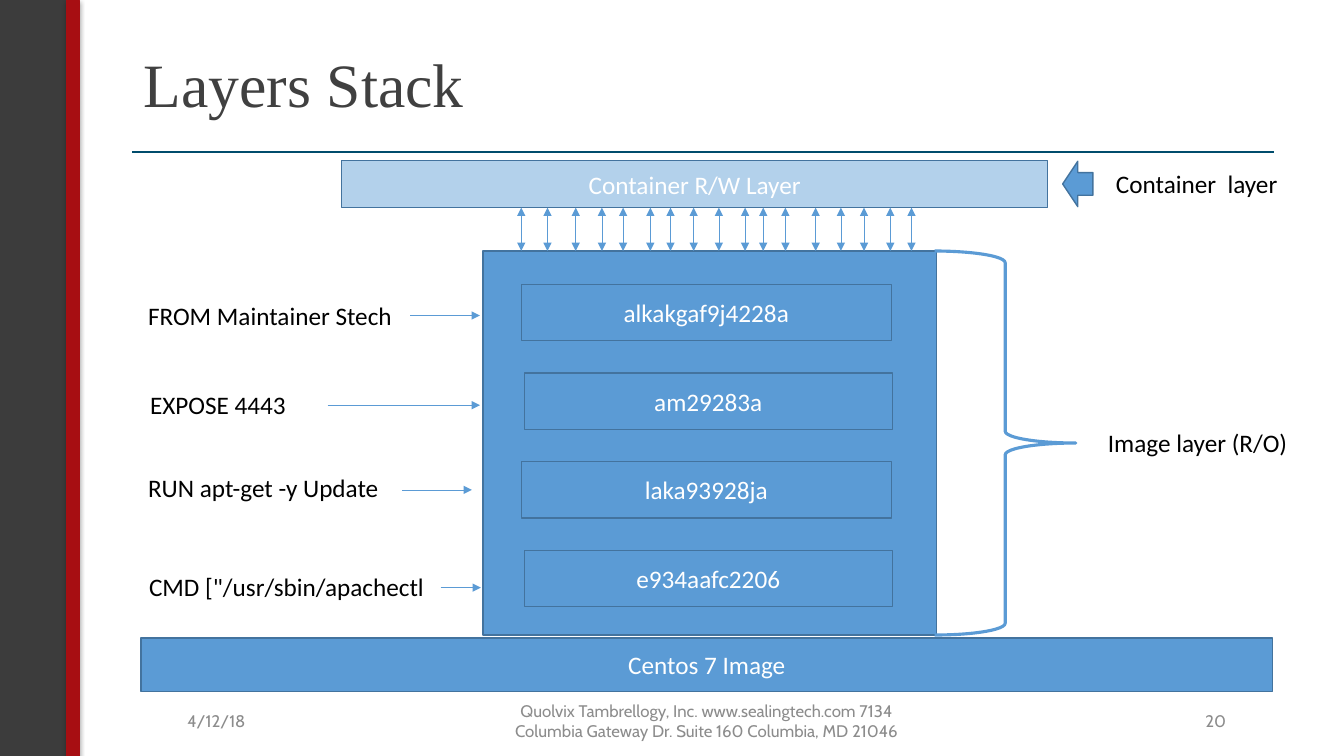
from lxml import etree
from pptx import Presentation
from pptx.dml.color import RGBColor
from pptx.enum import shapes, text
from pptx.oxml import ns
from pptx.util import Inches, Pt

# Content
TITLE = "Layers Stack"
RW_LAYER = "Container R/W Layer"
BASE_IMAGE = "Centos 7 Image"
LAYER_HASHES = ["alkakgaf9j4228a", "am29283a", "laka93928ja", "e934aafc2206"]
# command, label left, label top, arrow start, arrow end, arrow height
COMMANDS = [
    ("FROM Maintainer Stech", 1.37, 2.93, 4.07, 4.76, 3.13),
    ("EXPOSE 4443", 1.39, 3.81, 3.25, 4.76, 4.02),
    ("RUN apt-get -y Update", 1.37, 4.64, 3.99, 4.68, 4.86),
    ('CMD ["/usr/sbin/apachectl', 1.38, 5.62, 4.37, 4.77, 5.83),
]
SIDE_LABELS = [("Image layer (R/O)", 10.89, 4.19), ("Container  layer", 10.97, 1.62)]
LINK_XS = [5.17, 5.43, 5.71, 5.97, 6.18, 6.45, 6.65, 6.88, 7.13,
           7.39, 7.57, 7.79, 8.09, 8.34, 8.57, 8.83, 9.04]
ALIGN = text.PP_ALIGN
# text, left, width, alignment
FOOTERS = [
    ("4/12/18", 1.76, 2, ALIGN.LEFT),
    ("Quolvix Tambrellogy, Inc. www.sealingtech.com 7134 "
     "Columbia Gateway Dr. Suite 160 Columbia, MD 21046", 4.76, 4.5, ALIGN.CENTER),
    ("20", 10.26, 2, ALIGN.RIGHT),
]

# Colours
BLUE = RGBColor(0x5B, 0x9B, 0xD5)
EDGE = RGBColor(0x43, 0x73, 0x9E)
RULE = RGBColor(0x00, 0x4C, 0x6C)
CHARCOAL = RGBColor(0x3C, 0x3C, 0x3C)
RED = RGBColor(0xA7, 0x0E, 0x12)
TITLE_GREY = RGBColor(0x40, 0x40, 0x40)
FOOTER_GREY = RGBColor(0x8C, 0x8C, 0x8C)
BLACK = RGBColor(0, 0, 0)
WHITE = RGBColor(255, 255, 255)

# Text formats
TITLE_FONT = {"name": "Times New Roman", "size": Pt(44)}
BODY_FONT = {"name": "Calibri", "size": Pt(18)}
FOOTER_FONT = {"name": "Cabin", "size": Pt(12)}

# Geometry
BLOCK_TOP, BLOCK_HEIGHT = 2.49, 3.81
RW_TOP, RW_HEIGHT = 1.59, 0.47
HASH_TOP, HASH_PITCH = 2.82, 0.88
HASH_SPANS = [(5.17, 3.67), (5.2, 3.65)]
KIND = shapes.MSO_SHAPE
MIDDLE = text.MSO_ANCHOR.MIDDLE

presentation = Presentation()
presentation.slide_width, presentation.slide_height = Inches(13.33), Inches(7.5)
slide = presentation.slides.add_slide(presentation.slide_layouts[6])


def add_element(parent, tag, **attributes):
    return etree.SubElement(parent, ns.qn(tag), attributes)


def write(shape, words, font, color, align=ALIGN.LEFT, anchor=MIDDLE):
    frame = shape.text_frame
    frame.word_wrap = True
    frame.vertical_anchor = anchor
    paragraph = frame.paragraphs[0]
    paragraph.alignment = align
    run = paragraph.add_run()
    run.text = words
    for key, value in font.items():
        setattr(run.font, key, value)
    run.font.color.rgb = color
    return paragraph


def add_label(words, box, font, color, **layout):
    label = slide.shapes.add_textbox(*map(Inches, box))
    return write(label, words, font, color, **layout)


def add_box(kind, box, words="", fill=BLUE, line=EDGE, width=1):
    shape = slide.shapes.add_shape(kind, *map(Inches, box))
    shape.shadow.inherit = False
    if fill is None:
        shape.fill.background()
    else:
        shape.fill.solid()
        shape.fill.fore_color.rgb = fill
    shape.line.color.rgb = line
    shape.line.width = Pt(width)
    if words:
        write(shape, words, BODY_FONT, WHITE, ALIGN.CENTER)
    return shape


def add_line(start, end, color=BLUE, width=0.5, ends=()):
    connector = slide.shapes.add_connector(
        shapes.MSO_CONNECTOR.STRAIGHT, *map(Inches, start + end))
    connector.line.color.rgb = color
    connector.line.width = Pt(width)
    properties = connector._element.spPr
    for tag in ends:
        add_element(properties.find(ns.qn("a:ln")), tag, type="triangle")
    add_element(properties, "a:effectLst")


# Side bars with soft shadow, and the rule below the title
add_line((1.31, 1.51), (12.64, 1.51), RULE, 1)
for left, width, color in [(0, 0.67, CHARCOAL), (0.66, 0.13, RED)]:
    bar = add_box(KIND.RECTANGLE, (left, 0, width, 7.5), fill=color, line=color, width=0.5)
    effects = bar._element.spPr.find(ns.qn("a:effectLst"))
    shadow = add_element(effects, "a:outerShdw", blurRad=str(Pt(3.1)),
                         dist=str(Pt(1.8)), dir="5400000", rotWithShape="0")
    add_element(add_element(shadow, "a:srgbClr", val="000000"), "a:alpha", val="35000")

# Title and footer
title = add_label(TITLE, (1.33, 0.4, 11.33, 0.93), TITLE_FONT, TITLE_GREY)
title.line_spacing = 0.9
for words, left, width, align in FOOTERS:
    add_label(words, (left, 6.95, width, 0.4), FOOTER_FONT, FOOTER_GREY, align=align)

# Image block with its layers, on the base image
add_box(KIND.RECTANGLE, (4.79, BLOCK_TOP, 4.5, BLOCK_HEIGHT))
for index, layer_hash in enumerate(LAYER_HASHES):
    left, width = HASH_SPANS[index % 2]
    add_box(KIND.FLOWCHART_PROCESS,
            (left, HASH_TOP + index * HASH_PITCH, width, 0.56), layer_hash)
add_box(KIND.RECTANGLE, (1.4, 6.33, 11.22, 0.53), BASE_IMAGE)

# Writable layer, half transparent
rw_layer = add_box(KIND.FLOWCHART_PROCESS, (3.39, RW_TOP, 7, RW_HEIGHT), RW_LAYER)
rw_color = rw_layer._element.spPr.find(ns.qn("a:solidFill"))[0]
add_element(rw_color, "a:alpha", val="46000")

# Links between the writable layer and the image
for x in LINK_XS:
    add_line((x, RW_TOP + RW_HEIGHT), (x, BLOCK_TOP), ends=("a:headEnd", "a:tailEnd"))

# Brace, block arrow and labels on the right
add_box(KIND.RIGHT_BRACE, (9.27, BLOCK_TOP, 1.4, BLOCK_HEIGHT),
        fill=None, line=BLUE, width=2.25)
add_box(KIND.LEFT_ARROW, (10.54, 1.6, 0.3, 0.45))
for words, left, top in SIDE_LABELS:
    add_label(words, (left, top, 2.36, 0.4), BODY_FONT, BLACK, anchor=text.MSO_ANCHOR.TOP)

# Commands pointing at the layers they make
for words, left, top, start, end, y in COMMANDS:
    add_label(words, (left, top, 2.99, 0.4), BODY_FONT, BLACK, anchor=text.MSO_ANCHOR.TOP)
    add_line((start, y), (end, y), ends=("a:tailEnd",))

presentation.save("out.pptx")
